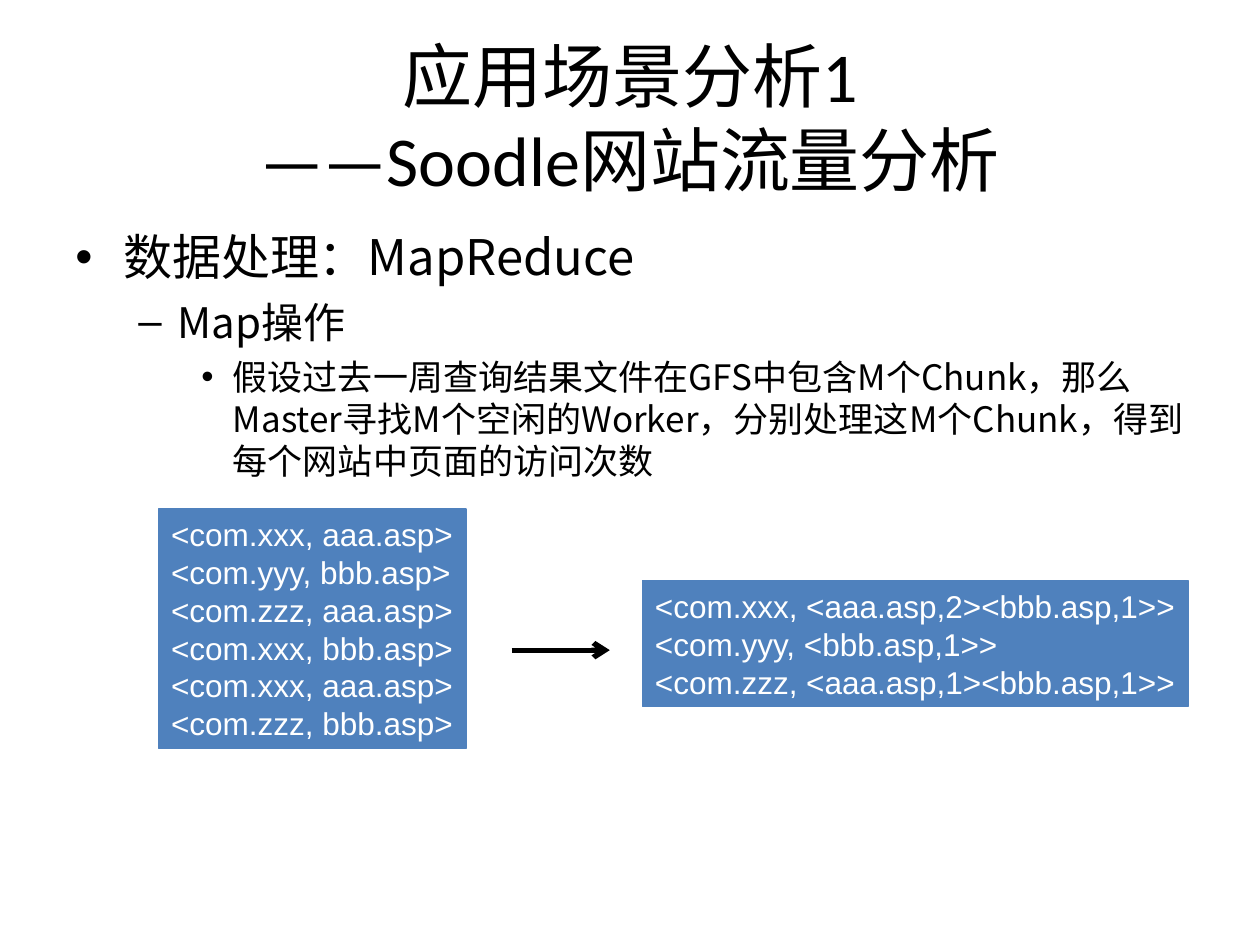
from lxml import etree
from pptx import Presentation
from pptx.dml.color import RGBColor
from pptx.enum.shapes import MSO_CONNECTOR, MSO_SHAPE
from pptx.enum.text import MSO_ANCHOR, MSO_AUTO_SIZE, PP_ALIGN
from pptx.oxml.ns import qn
from pptx.util import Inches, Pt

RECTANGLE = MSO_SHAPE.RECTANGLE
STRAIGHT = MSO_CONNECTOR.STRAIGHT
TOP, MIDDLE = MSO_ANCHOR.TOP, MSO_ANCHOR.MIDDLE
LEFT, CENTER = PP_ALIGN.LEFT, PP_ALIGN.CENTER


def color(hex_value):
    return RGBColor.from_string(hex_value)


class SlideBuilder:
    BLACK, WHITE, BLUE = "000000", "FFFFFF", "4F81BD"
    TITLE_FONT, BODY_FONT, CODE_FONT = "Calibri", "Noto Sans CJK SC", "Arial"
    # Level: bullet, text indent, hanging indent, size, space before
    LEVELS = [
        ("•", 0.38, 0.38, 28, 0),
        ("–", 0.81, 0.31, 24, 6),
        ("•", 1.25, 0.25, 20, 5),
    ]

    def __init__(self, slide):
        self.slide = slide

    def format_runs(self, paragraph, font_name, size, hex_value):
        for run in paragraph.runs:
            run.font.name = font_name
            run.font.size = Pt(size)
            run.font.color.rgb = color(hex_value)
            east_asian = etree.SubElement(run.font._element, qn("a:ea"))
            east_asian.set("typeface", self.BODY_FONT)

    def text_box(self, left, top, width, height, anchor):
        shape = self.slide.shapes.add_textbox(
            Inches(left), Inches(top), Inches(width), Inches(height))
        shape.text_frame.word_wrap = True
        shape.text_frame.vertical_anchor = anchor
        return shape.text_frame

    def title(self, text, left, top, width, height):
        text_frame = self.text_box(left, top, width, height, MIDDLE)
        text_frame.text = text
        paragraph = text_frame.paragraphs[0]
        paragraph.alignment = CENTER
        self.format_runs(paragraph, self.TITLE_FONT, 40, self.BLACK)

    def bullet_list(self, items, left, top, width, height):
        text_frame = self.text_box(left, top, width, height, TOP)
        text_frame.text = "\n".join(text for _, text in items)
        for paragraph, (level, _) in zip(text_frame.paragraphs, items):
            bullet, indent, hanging, size, space = self.LEVELS[level]
            properties = paragraph._p.get_or_add_pPr()
            properties.set("marL", str(Inches(indent)))
            properties.set("indent", str(-Inches(hanging)))
            etree.SubElement(properties, qn("a:buFont")).set("typeface", "Arial")
            etree.SubElement(properties, qn("a:buChar")).set("char", bullet)
            paragraph.level = level
            paragraph.space_before = Pt(space)
            self.format_runs(paragraph, self.BODY_FONT, size, self.BLACK)

    def record_box(self, records, left, top, width, height):
        shape = self.slide.shapes.add_shape(
            RECTANGLE, Inches(left), Inches(top), Inches(width), Inches(height))
        shape.shadow.inherit = False
        shape.fill.solid()
        shape.fill.fore_color.rgb = color(self.BLUE)
        shape.line.color.rgb = color(self.BLUE)
        shape.line.width = Pt(0.75)
        text_frame = shape.text_frame
        text_frame.word_wrap = False
        text_frame.auto_size = MSO_AUTO_SIZE.SHAPE_TO_FIT_TEXT
        text_frame.vertical_anchor = TOP
        text_frame.text = "\n".join(records)
        for paragraph in text_frame.paragraphs:
            paragraph.alignment = LEFT
            self.format_runs(paragraph, self.CODE_FONT, 18, self.WHITE)

    def arrow(self, start_x, end_x, y):
        connector = self.slide.shapes.add_connector(
            STRAIGHT, Inches(start_x), Inches(y), Inches(end_x), Inches(y))
        connector.line.color.rgb = color(self.BLACK)
        connector.line.width = Pt(3)
        line = connector.line._get_or_add_ln()
        etree.SubElement(line, qn("a:tailEnd")).set("type", "arrow")
        etree.SubElement(connector._element.spPr, qn("a:effectLst"))


def main():
    presentation = Presentation()
    presentation.slide_width = Inches(10)
    presentation.slide_height = Inches(7.5)
    slide = presentation.slides.add_slide(presentation.slide_layouts[6])
    builder = SlideBuilder(slide)

    # Title and explanation
    builder.title("应用场景分析1\v——Soodle网站流量分析", 0.5, 0.3, 9, 1.25)
    builder.bullet_list([
        (0, "数据处理：MapReduce"),
        (1, "Map操作"),
        (2, "假设过去一周查询结果文件在GFS中包含M个Chunk，那么Master寻找M个"
            "空闲的Worker，分别处理这M个Chunk，得到每个网站中页面的访问次数"),
    ], 0.5, 1.75, 9, 4.95)

    # Input records, mapped to counts per site
    builder.record_box([
        "<com.xxx, aaa.asp>",
        "<com.yyy, bbb.asp>",
        "<com.zzz, aaa.asp>",
        "<com.xxx, bbb.asp>",
        "<com.xxx, aaa.asp>",
        "<com.zzz, bbb.asp>",
    ], 1.26, 4.04, 2.44, 1.9)
    builder.record_box([
        "<com.xxx, <aaa.asp,2><bbb.asp,1>>",
        "<com.yyy, <bbb.asp,1>>",
        "<com.zzz, <aaa.asp,1><bbb.asp,1>>",
    ], 5.1, 4.61, 4.33, 1)
    builder.arrow(4.06, 4.84, 5.16)

    presentation.save("out.pptx")


if __name__ == "__main__":
    main()
